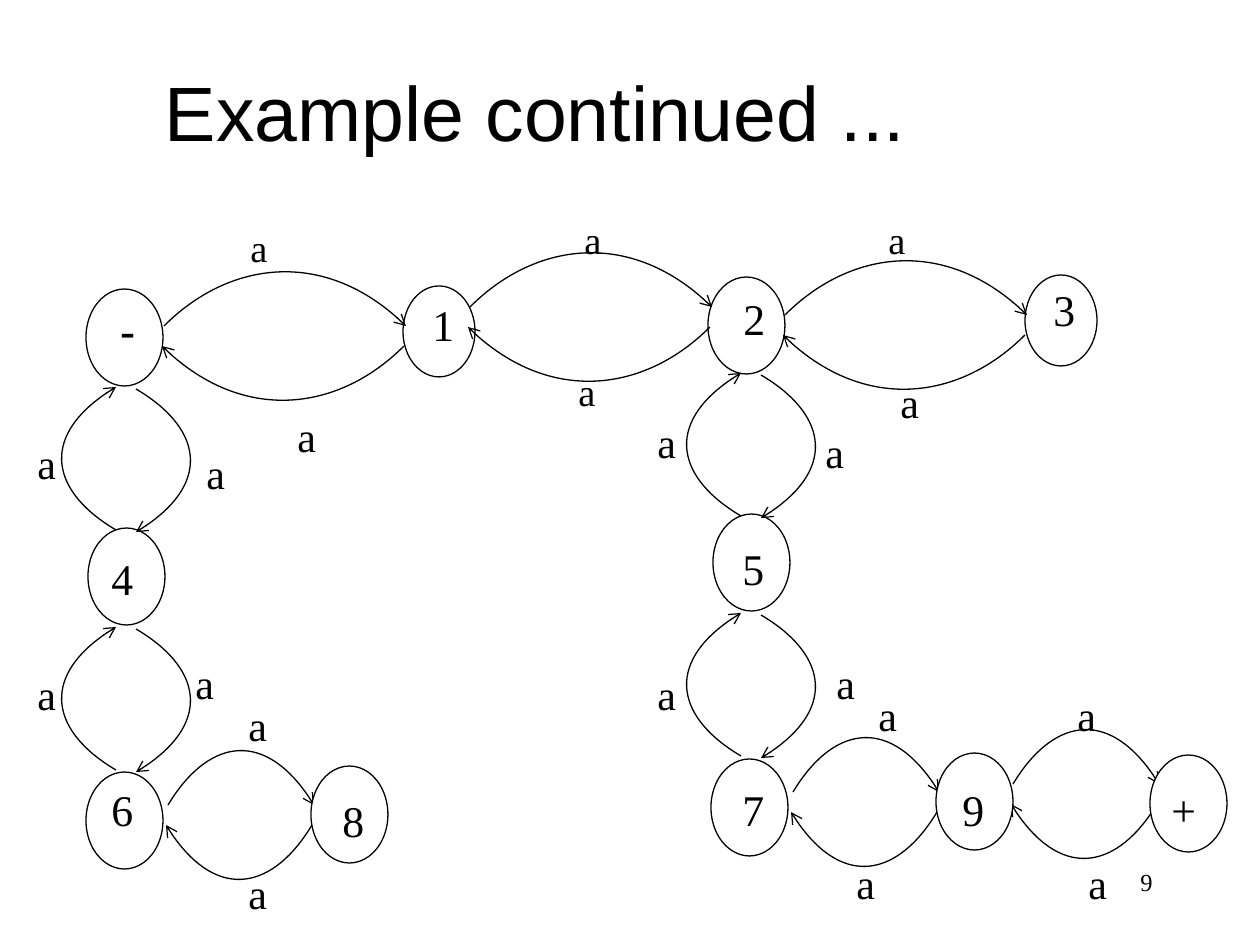
"""Build the slide with a state diagram of ten nodes joined by labelled arcs."""
from lxml.etree import SubElement
from pptx import Presentation
from pptx.dml.color import RGBColor
from pptx.enum.shapes import MSO_SHAPE
from pptx.enum.text import MSO_ANCHOR, PP_ALIGN
from pptx.oxml.ns import qn
from pptx.util import Pt

PX = 914400 / 126
BLACK, WHITE = "000000", "FFFFFF"
SERIF = "Times New Roman"


def write(box, place, text, align=PP_ALIGN.LEFT, **font_format):
    """Place a text shape and fill it with one formatted run."""
    for side, length in zip(("left", "top", "width", "height"), place):
        setattr(box, side, round(length * PX))
    box.text_frame.word_wrap = True
    para = box.text_frame.paragraphs[0]
    para.alignment = align
    span = para.add_run()
    span.text = text
    for name, value in font_format.items():
        setattr(span.font, name, value)
    span.font.color.rgb = RGBColor.from_string(BLACK)


def add_node(left, top, width, height):
    """Draw the outline of one state."""
    node = diagram.add_shape(MSO_SHAPE.OVAL, *(round(v * PX) for v in (left, top, width, height)))
    node.shadow.inherit = False
    node.fill.solid()
    node.fill.fore_color.rgb = RGBColor.from_string(WHITE)
    node.line.color.rgb = RGBColor.from_string(BLACK)
    node.line.width = Pt(0.74)


deck = Presentation()
deck.slide_width, deck.slide_height = round(1260 * PX), round(945 * PX)
page = deck.slides.add_slide(deck.slide_layouts[5])

write(page.shapes.title, (0, 32, 1071, 157), "Example continued ...",
      PP_ALIGN.CENTER, name="Arial", size=Pt(44))
page.shapes.title.text_frame.vertical_anchor = MSO_ANCHOR.MIDDLE

diagram = page.shapes.add_group_shape().shapes
LARGE, SMALL = (77, 97), (72, 91)
back_nodes = [(403, 286, SMALL), (708, 277, LARGE), (1025, 275, SMALL), (88, 528, LARGE),
              (713, 514, LARGE), (86, 772, LARGE), (711, 759, LARGE)]
front_nodes = [(86, 289, LARGE), (311, 766, LARGE), (936, 753, LARGE), (1150, 755, LARGE)]

for left, top, size in back_nodes:
    add_node(left, top, *size)

across = [(164, 326, 242), (470, 307, 242), (785, 315, 242),
          (168, 805, 146), (793, 792, 146), (1013, 784, 146)]
down = [(136, 389), (136, 629), (761, 375), (761, 615)]
DROP, BULGE = 143, 79
arcs = []
for x, y, span_width in across:
    arcs += [(x, y, (span_width, 0), (0, -BULGE)),
             (x + span_width - 2, y + 20, (-span_width, 0), (0, BULGE))]
for x, y in down:
    arcs += [(x, y, (0, DROP), (BULGE, 0)),
             (x - 20, y + DROP - 2, (0, -DROP), (-BULGE, 0))]

BEND = [(0.26, 0.8), (0.67, 1), (1, 0)]
for x, y, along, outward in arcs:
    points = [(round((x + along[0] * a + outward[0] * b) * PX),
               round((y + along[1] * a + outward[1] * b) * PX)) for a, b in BEND]
    builder = diagram.build_freeform(round(x * PX), round(y * PX))
    arc = builder.add_line_segments(points, close=False).convert_to_shape()
    segments = list(arc._element.iter(qn("a:lnTo")))
    outline = segments[0].getparent()
    curve = SubElement(outline, qn("a:cubicBezTo"))
    for segment in segments:
        curve.append(segment[0])
        outline.remove(segment)
    arc.shadow.inherit = False
    arc.fill.background()
    arc.line.color.rgb = RGBColor.from_string(BLACK)
    arc.line.width = Pt(0.74)
    SubElement(arc.line._get_or_add_ln(), qn("a:tailEnd"), type="arrow")

for left, top, size in front_nodes:
    add_node(left, top, *size)

node_names = [("-", 108, 297), ("1", 420, 292), ("2", 731, 286), ("3", 1041, 277),
              ("4", 99, 546), ("5", 730, 536), ("6", 99, 777), ("7", 730, 777),
              ("8", 330, 788), ("9", 950, 777), ("+", 1159, 777)]
for name, left, top in node_names:
    write(diagram.add_textbox(0, 0, 0, 0), (left, top, 45, 55), name,
          name=SERIF, size=Pt(25), bold=name == "-")

arc_labels = {
    22: [(238, 218), (876, 210), (572, 210), (566, 362)],
    24: [(183, 651), (888, 370), (194, 441), (25, 431), (285, 404), (25, 662),
         (236, 693), (236, 861), (645, 410), (813, 420), (645, 662), (824, 651),
         (844, 851), (866, 683), (1065, 683), (1076, 851)],
}
for size, spots in arc_labels.items():
    for left, top in spots:
        write(diagram.add_textbox(0, 0, 0, 0), (left, top, 45, 55), "a",
              name=SERIF, size=Pt(size))

write(page.shapes.add_textbox(0, 0, 0, 0), (903, 861, 262, 63), "9",
      PP_ALIGN.RIGHT, name=SERIF, size=Pt(14))

deck.save("out.pptx")
